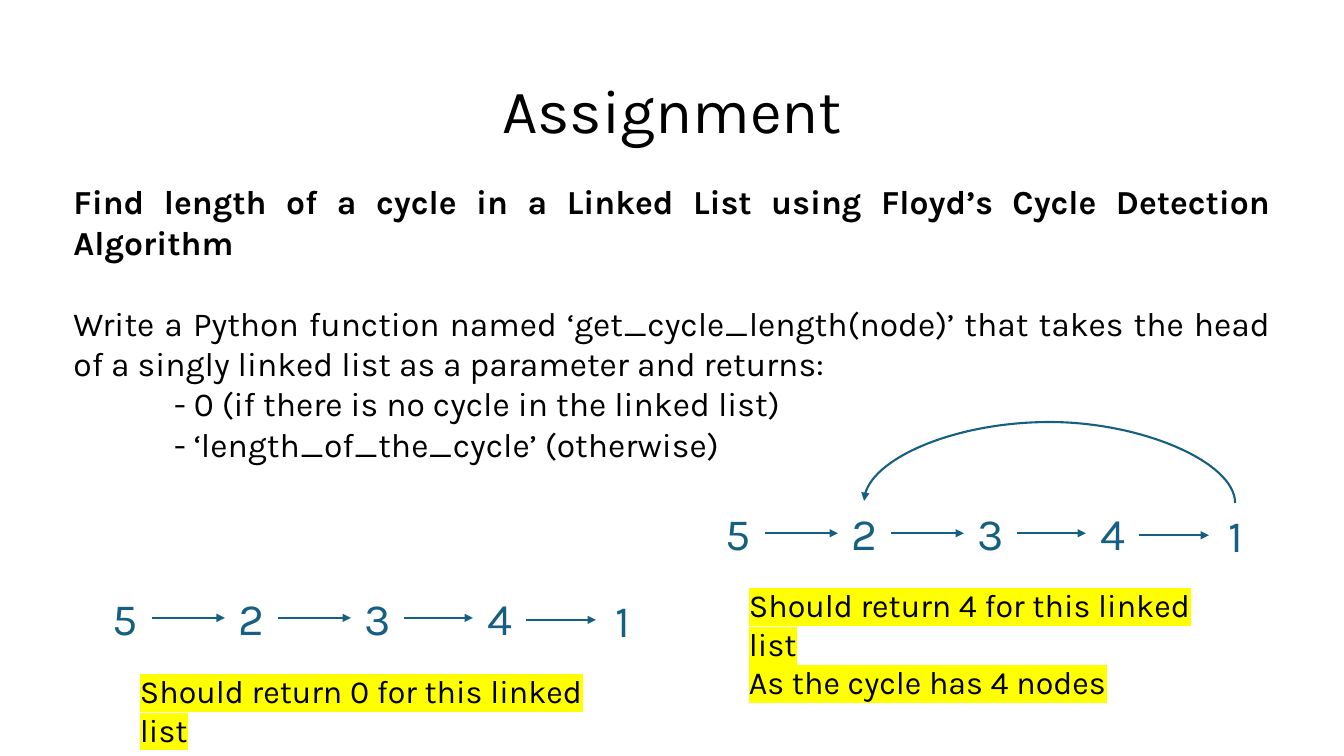
"""Build the assignment slide about the length of a cycle in a linked list."""
from dataclasses import dataclass
from typing import Optional

from lxml.etree import SubElement
from pptx import Presentation
from pptx.dml.color import RGBColor as RGB
from pptx.enum.shapes import MSO_CONNECTOR as CONN
from pptx.enum.text import MSO_ANCHOR as ANCHOR, PP_ALIGN as ALIGN
from pptx.oxml import parse_xml
from pptx.oxml.ns import nsdecls, qn
from pptx.shapes.autoshape import Shape
from pptx.shapes.connector import Connector
from pptx.slide import Slide
from pptx.util import Emu, Pt


@dataclass(frozen=True)
class Theme:
    font: str = "Karla"
    ink: str = "000000"
    node: str = "156082"
    highlight: str = "FFFF00"
    title_size: int = 44
    node_size: int = 32
    body_size: int = 24
    note_size: int = 23
    line_width: float = 1.5


@dataclass(frozen=True)
class Para:
    text: str
    bold: bool = False
    before: int = 0
    indent: int = 0


@dataclass(frozen=True)
class Chain:
    left: int
    top: int
    note: tuple[Para, ...]
    note_left: int
    note_top: int
    note_height: int
    cycle_to: Optional[int] = None


THEME = Theme()
EMU_PER_PX = 9144
NODE_WIDTH, NODE_HEIGHT = 53, 64
NOTE_WIDTH = 474
NODES = (("5", 0, 0), ("2", 125, 0), ("3", 250, 0), ("4", 371, 0), ("1", 493, 2))
BODY = (
    Para("Find length of a cycle in a Linked List using Floyd’s Cycle Detection Algorithm", bold=True),
    Para("Write a Python function named ‘get_cycle_length(node)’ that takes the head "
         "of a singly linked list as a parameter and returns:", before=29),
    Para("- 0 (if there is no cycle in the linked list)", indent=100),
    Para("- ‘length_of_the_cycle’ (otherwise)", indent=100),
)
CHAINS = (
    Chain(98, 581, (Para("Should return 0 for this linked list"),), 129, 661, 49),
    Chain(706, 497, (Para("Should return 4 for this linked list"), Para("As the cycle has 4 nodes")),
          733, 576, 88, cycle_to=1),
)


def px(n: int) -> Emu:
    """Turn whole pixels into EMU."""
    return Emu(n * EMU_PER_PX)


def add_text(s: Slide, box: tuple[int, int, int, int], paras: tuple[Para, ...], *, size: int,
             color: str = THEME.ink, align: ALIGN = ALIGN.LEFT, anchor: ANCHOR = ANCHOR.TOP,
             spacing: float = 1.0, wrap: bool = True, highlight: Optional[str] = None) -> Shape:
    """Add a text box holding the given paragraphs."""
    sp = s.shapes.add_textbox(*map(px, box))
    tf = sp.text_frame
    tf.word_wrap, tf.vertical_anchor = wrap, anchor
    for i, para in enumerate(paras):
        p = tf.paragraphs[0] if i == 0 else tf.add_paragraph()
        p.alignment, p.line_spacing, p.space_before = align, spacing, Pt(para.before)
        if para.indent:
            p._p.get_or_add_pPr().set("marL", str(px(para.indent)))
        r = p.add_run()
        r.text = para.text
        r.font.name, r.font.size, r.font.bold = THEME.font, Pt(size), para.bold
        r.font.color.rgb = RGB.from_string(color)
        if highlight:
            mark = parse_xml(f'<a:highlight {nsdecls("a")}><a:srgbClr val="{highlight}"/></a:highlight>')
            r._r.get_or_add_rPr().find(qn("a:solidFill")).addnext(mark)
    return sp


def add_arrow(s: Slide, kind: CONN, start: tuple[int, int], end: tuple[int, int]) -> Connector:
    """Add a connector with a triangle at its end."""
    c = s.shapes.add_connector(kind, *map(px, start + end))
    c.line.color.rgb = RGB.from_string(THEME.node)
    c.line.width = Pt(THEME.line_width)
    sp_pr = c._element.spPr
    SubElement(sp_pr.find(qn("a:ln")), qn("a:tailEnd"), type="triangle")
    SubElement(sp_pr, qn("a:effectLst"))
    return c


def add_cycle(s: Slide, start: tuple[int, int], end: tuple[int, int], rise: int) -> None:
    """Arch a curved arrow above the nodes, from start back to end."""
    mid_x, mid_y = (start[0] + end[0]) // 2, (start[1] + end[1]) // 2
    half, drop = (start[0] - end[0]) // 2, start[1] - end[1]
    left = mid_x - drop // 2
    c = add_arrow(s, CONN.CURVE, (left, mid_y + half), (left + drop, mid_y - half))
    sp_pr = c._element.spPr
    sp_pr.find(qn("a:xfrm")).set("rot", str(270 * 60000))
    guides = sp_pr.find(qn("a:prstGeom")).find(qn("a:avLst"))
    SubElement(guides, qn("a:gd"), name="adj1", fmla=f"val {rise * 100000 // drop}")


def add_chain(s: Slide, chain: Chain) -> None:
    """Draw the nodes, their arrows, the cycle if any, and the note."""
    boxes = [(chain.left + dx, chain.top + dy, NODE_WIDTH, NODE_HEIGHT) for _, dx, dy in NODES]
    shapes = [add_text(s, box, (Para(value),), size=THEME.node_size, color=THEME.node,
                       align=ALIGN.CENTER, wrap=False)
              for box, (value, _, _) in zip(boxes, NODES)]
    for i, (a, b) in enumerate(zip(boxes, boxes[1:])):
        y = b[1] + NODE_HEIGHT // 2
        c = add_arrow(s, CONN.STRAIGHT, (a[0] + NODE_WIDTH, y), (b[0], y))
        if a[1] == b[1]:
            c.begin_connect(shapes[i], 3)
        c.end_connect(shapes[i + 1], 1)
    if chain.cycle_to is not None:
        last, target = boxes[-1], boxes[chain.cycle_to]
        add_cycle(s, (last[0] + NODE_WIDTH // 2, last[1]),
                  (target[0] + NODE_WIDTH // 2, target[1]), rise=80)
    add_text(s, (chain.note_left, chain.note_top, NOTE_WIDTH, chain.note_height), chain.note,
             size=THEME.note_size, highlight=THEME.highlight)


def main() -> None:
    """Build and save the slide."""
    prs = Presentation()
    prs.slide_width, prs.slide_height = px(1333), px(750)
    s = prs.slides.add_slide(prs.slide_layouts[6])
    add_text(s, (92, 40, 1150, 145), (Para("Assignment"),), size=THEME.title_size,
             align=ALIGN.CENTER, anchor=ANCHOR.MIDDLE, spacing=0.9)
    add_text(s, (63, 175, 1207, 252), BODY, size=THEME.body_size, align=ALIGN.JUSTIFY)
    for chain in CHAINS:
        add_chain(s, chain)
    prs.save("out.pptx")


if __name__ == "__main__":
    main()
